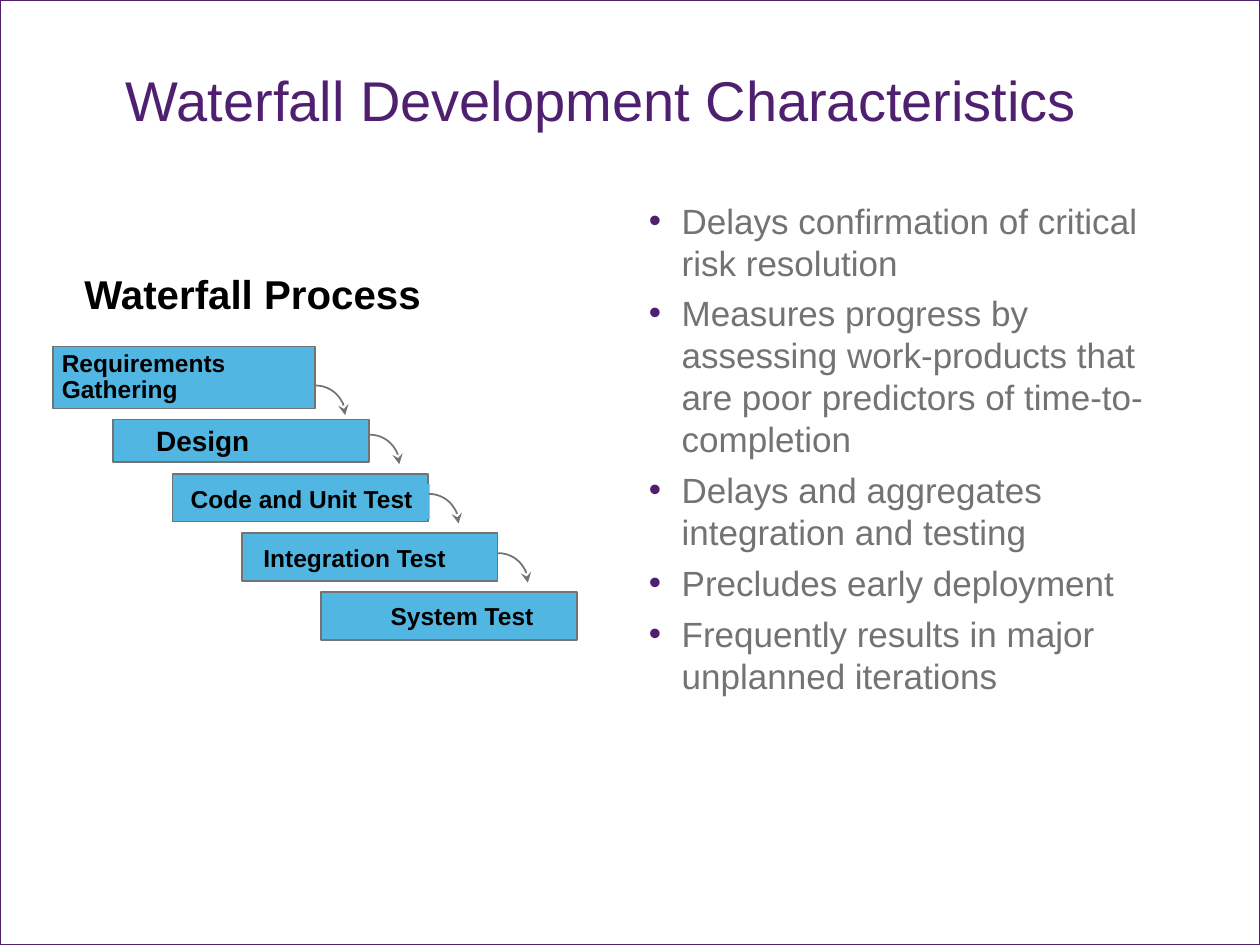
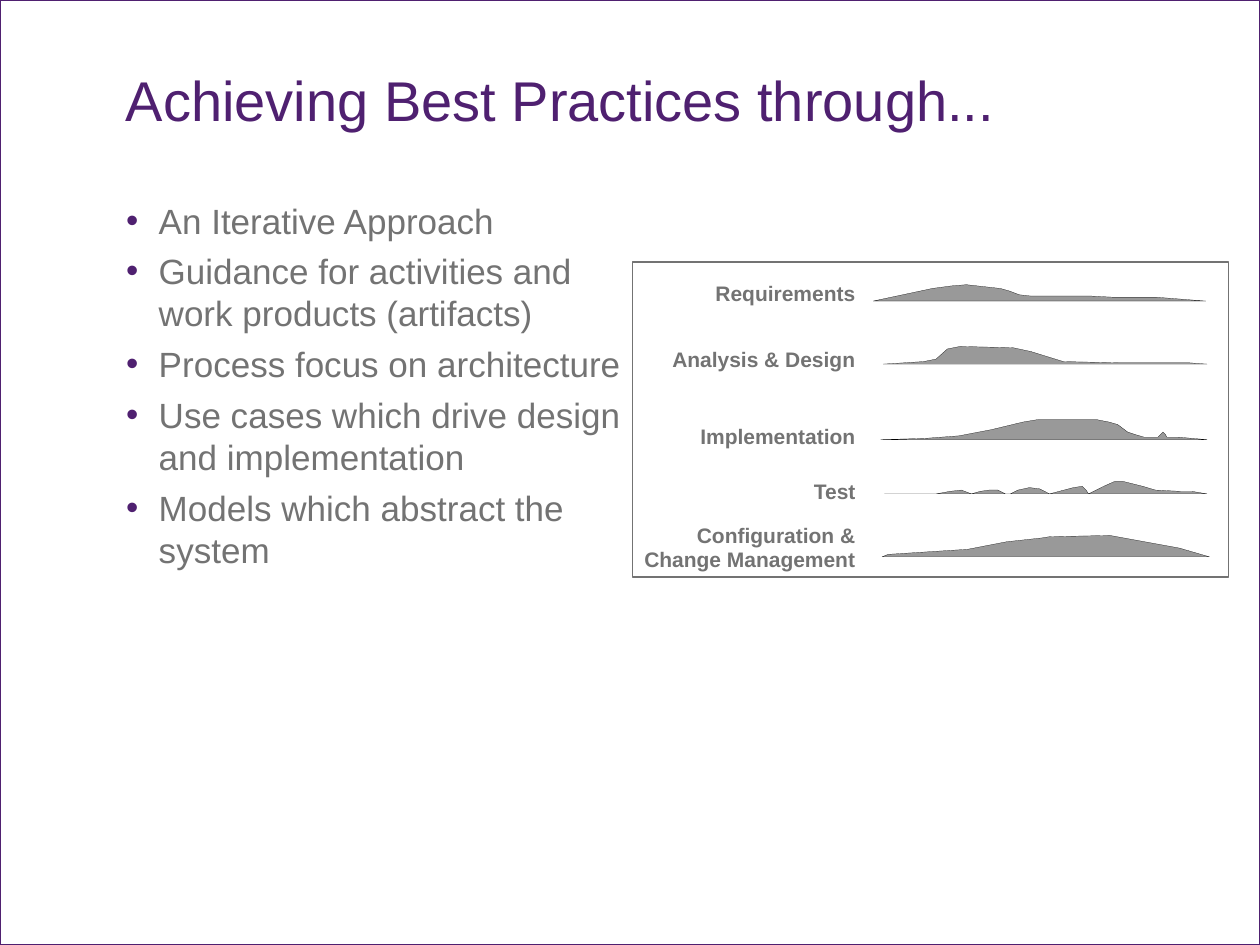
from dataclasses import dataclass
from lxml import etree
from pptx import Presentation
from pptx.dml.color import RGBColor as Rgb
from pptx.enum.shapes import MSO_SHAPE as Kind
from pptx.enum.text import MSO_AUTO_SIZE as Fit, PP_ALIGN as Align
from pptx.oxml.ns import qn
from pptx.util import Inches, Pt


# Colours and type sizes shared by both slides
@dataclass(frozen=True)
class Theme:
    face: str = "Arial"
    brand: str = "4F2070"
    grey: str = "737373"
    blue: str = "51B6E1"
    hill: str = "999999"
    ink: str = "000000"
    title: int = 32
    head: int = 23
    body: int = 20
    large: int = 16
    step: int = 14
    small: int = 12


THEME = Theme()
WIDE, HIGH = Inches(10), Inches(7.5)
UNIT = WIDE // 1000  # every length is in thousandths of the slide's width
PAD = (7, 3)         # side and top insets of the process labels

# Process steps: bar, top of the arrow leaving it
STEPS = [
    ((42, 275, 208, 49), 306),
    ((90, 333, 203, 34), 345),
    ((137, 376, 203, 38), 392),
    ((192, 423, 203, 38), 439),
    ((255, 470, 203, 38), None),
]
# Step names: text, box, size, fill, wrap, alignment
NAMES = [
    ("Design", (117, 336, 120, 31), THEME.large, None, True, Align.LEFT),
    ("Code and Unit Test", (138, 384, 203, 28), THEME.step, THEME.blue,
     True, Align.CENTER),
    ("Integration Test", (202, 431, 160, 28), THEME.step, THEME.blue,
     False, Align.LEFT),
    ("System Test", (303, 477, 128, 28), THEME.step, None, False, Align.LEFT),
]
RISKS = [
    "Delays confirmation of critical risk resolution",
    "Measures progress by assessing work-products that are poor predictors "
    "of time-to-completion",
    "Delays and aggregates integration and testing",
    "Precludes early deployment",
    "Frequently results in major unplanned iterations",
]
GOALS = [
    "An Iterative Approach",
    "Guidance for activities and work products (artifacts)",
    "Process focus on architecture",
    "Use cases which drive design and implementation",
    "Models which abstract the system",
]
# Effort per discipline: label lines, label top, baseline,
# then (x, rise above the baseline) along the curve
EFFORT = [
    (["Requirements"], 225, 239,
     [(693, 0), (740, 10), (755, 12), (767, 13), (794, 10), (801, 8), (809, 5),
      (818, 4), (865, 4), (884, 3), (918, 3), (957, 0)]),
    (["Analysis & Design"], 277, 289,
     [(701, 0), (733, 2), (743, 4), (752, 12), (762, 14), (804, 13), (818, 10),
      (844, 2), (890, 1), (944, 1), (958, 0)]),
    (["Implementation"], 338, 349,
     [(699, 0), (734, 1), (761, 3), (787, 8), (812, 14), (824, 16), (870, 16),
      (880, 14), (887, 12), (895, 6), (901, 4), (908, 2), (919, 2), (921, 4),
      (923, 6), (925, 4), (926, 2), (935, 2), (958, 0)]),
    (["Test"], 382, 392,
     [(702, 0), (743, 0), (754, 2), (763, 3), (771, 0), (778, 2), (785, 3),
      (792, 3), (798, 0), (802, 0), (808, 3), (817, 5), (825, 4), (833, 0),
      (852, 5), (859, 6), (862, 3), (864, 0), (876, 6), (885, 10), (891, 10),
      (907, 6), (917, 3), (937, 2), (946, 2), (958, 0)]),
    (["Configuration &", "Change Management"], 417, 442,
     [(700, 0), (705, 2), (768, 6), (799, 12), (827, 15), (833, 16), (881, 17),
      (936, 7), (960, 0)]),
]


def scale(box):
    return [n * UNIT for n in box]


def paint(shape, fill=None, line=None, width=0.75):
    """Set fill and outline; None means none."""
    shape.shadow.inherit = False
    if fill:
        shape.fill.solid()
        shape.fill.fore_color.rgb = Rgb.from_string(fill)
    else:
        shape.fill.background()
    if line:
        shape.line.color.rgb = Rgb.from_string(line)
        shape.line.width = Pt(width)
    else:
        shape.line.fill.background()


def bar(slide, box, fill=None, line=None, width=0.75, kind=Kind.RECTANGLE):
    shape = slide.shapes.add_shape(kind, *scale(box))
    paint(shape, fill, line, width)
    return shape


def write(shape, lines, size, color, bold=False, pad=(0, 0), wrap=True,
          align=Align.LEFT, lead=0.9, gap=0, dots=False, grow=False):
    """Fill a shape with paragraphs of one style."""
    frame = shape.text_frame
    frame.word_wrap = wrap
    frame.auto_size = Fit.SHAPE_TO_FIT_TEXT if grow else Fit.NONE
    frame.margin_left = frame.margin_right = pad[0] * UNIT
    frame.margin_top = frame.margin_bottom = pad[1] * UNIT
    for i, line in enumerate(lines):
        para = frame.paragraphs[0] if i == 0 else frame.add_paragraph()
        para.text = line
        para.alignment = align
        para.line_spacing = lead
        if i:
            para.space_before = Pt(gap)
        if dots:
            bullet(para)
        font = para.font
        font.name, font.size, font.bold = THEME.face, Pt(size), bold
        font.color.rgb = Rgb.from_string(color)


def bullet(para):
    props = para._p.get_or_add_pPr()
    props.set("marL", str(26 * UNIT))
    props.set("indent", str(-26 * UNIT))
    tint = etree.SubElement(props, qn("a:buClr"))
    etree.SubElement(tint, qn("a:srgbClr"), val=THEME.brand)
    etree.SubElement(props, qn("a:buFont"), typeface=THEME.face)
    etree.SubElement(props, qn("a:buChar"), char="•")


def label(slide, box, lines, size, color, fill=None, **style):
    shape = slide.shapes.add_textbox(*scale(box))
    if fill:
        paint(shape, fill)
    write(shape, lines, size, color, **style)
    return shape


def arrow(slide, right, top):
    """Quarter turn leaving a step towards the next one."""
    arc = bar(slide, (right - 23, top, 47, 47), None, THEME.grey, 1, Kind.ARC)
    etree.SubElement(arc.line._get_or_add_ln(), qn("a:tailEnd"),
                     type="stealth")


def hill(slide, base, curve):
    start, *rest = [(x, base - up) for x, up in curve]
    form = slide.shapes.build_freeform(*start, scale=UNIT)
    form.add_line_segments(rest, close=True)
    paint(form.convert_to_shape(), THEME.hill, THEME.ink, 0.1)


def page(deck, title, points, left):
    """Frame, title and bullet column common to both slides."""
    slide = deck.slides.add_slide(deck.slide_layouts[6])
    bar(slide, (0, 0, 1000, 750), line=THEME.brand)
    label(slide, (100, 58, 833, 67), [title], THEME.title, THEME.brand)
    label(slide, (left, 158, 409, 508), points, THEME.body, THEME.grey,
          lead=1, gap=5, dots=True)
    return slide


def process(slide):
    label(slide, (58, 213, 288, 44), ["Waterfall Process"], THEME.head,
          THEME.ink, bold=True, pad=(9, 5), wrap=False, grow=True)
    for i, (box, _) in enumerate(STEPS):
        step = bar(slide, box, THEME.blue, THEME.grey, 1 if i else 0.75)
        if i == 0:
            write(step, ["Requirements Gathering"], THEME.step, THEME.ink,
                  bold=True, pad=PAD, grow=True)
    for name, box, size, fill, wrap, align in NAMES:
        label(slide, box, [name], size, THEME.ink, fill, bold=True, pad=PAD,
              wrap=wrap, align=align, grow=True)
    for (left, _, width, _), turn in STEPS[:-1]:
        arrow(slide, left + width, turn)


def effort(slide):
    bar(slide, (502, 208, 473, 250), line=THEME.grey)
    for lines, top, base, curve in EFFORT:
        # One label column, wide enough for the longest line
        text = label(slide, (506, top, 173, 18 * len(lines)), lines,
                     THEME.small, THEME.grey, bold=True,
                     align=Align.RIGHT, gap=7.5, grow=True)
        for para in text.text_frame.paragraphs[1:]:
            para.line_spacing = 0.3
        hill(slide, base, curve)


def main():
    deck = Presentation()
    deck.slide_width, deck.slide_height = WIDE, HIGH
    process(page(deck, "Waterfall Development Characteristics", RISKS, 515))
    effort(page(deck, "Achieving Best Practices through...", GOALS, 100))
    deck.save("out.pptx")


if __name__ == "__main__":
    main()
